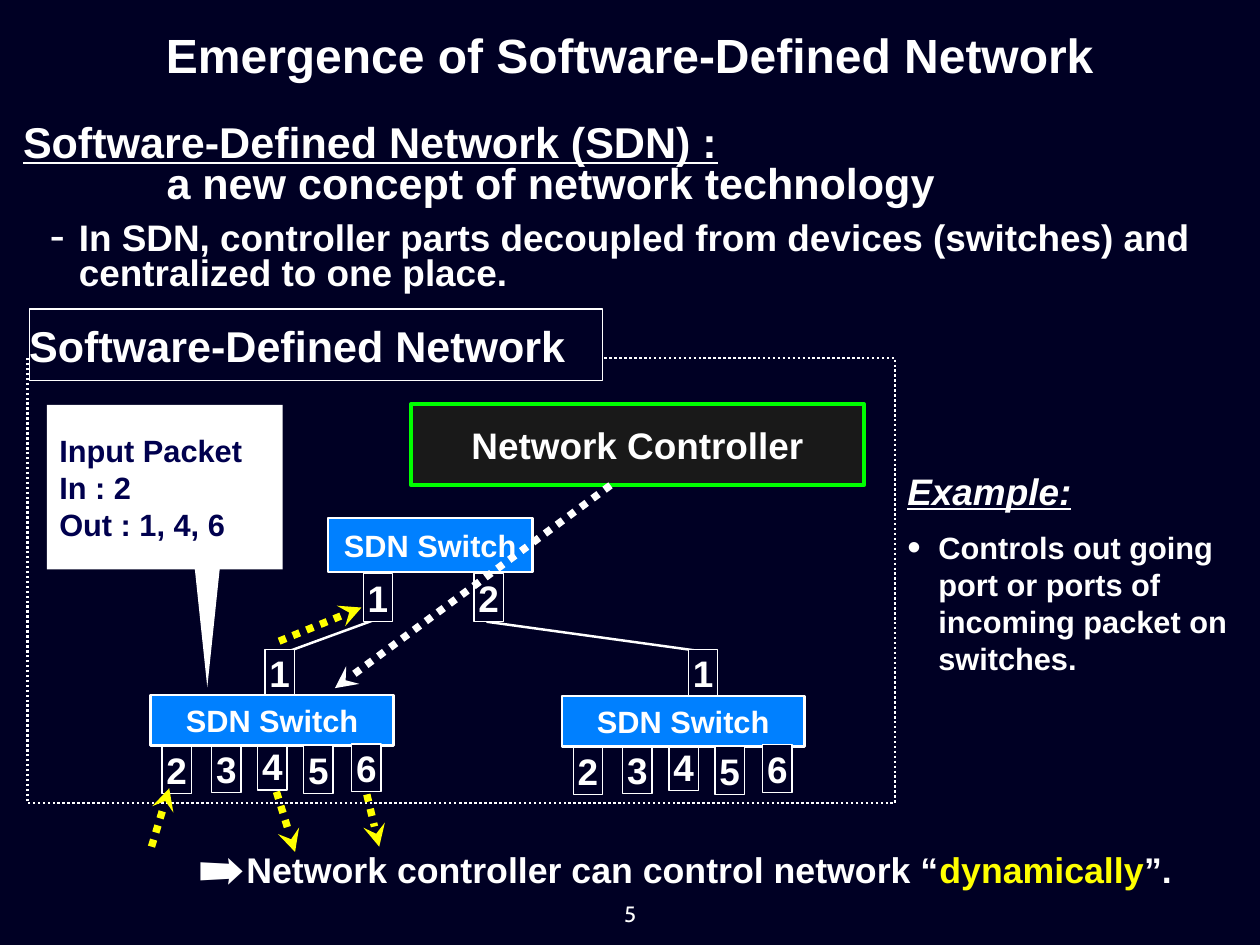
from lxml.etree import SubElement
from pptx import Presentation
from pptx.dml.color import RGBColor
from pptx.enum.dml import MSO_LINE
from pptx.enum.shapes import MSO_CONNECTOR, MSO_SHAPE
from pptx.enum.text import MSO_ANCHOR, MSO_AUTO_SIZE, PP_ALIGN
from pptx.oxml.ns import qn
from pptx.util import Pt

SCALE = 9144  # EMU in one px, 100 px to the inch
WHITE, YELLOW, NAVY, BLUE = "FFFFFF", "FFFF00", "000025", "0080FF"
CENTER, LEFT = PP_ALIGN.CENTER, PP_ALIGN.LEFT


def px(*nums):
    return [round(n * SCALE) for n in nums]


def hue(code):
    return RGBColor.from_string(code)


class Board:
    """Holds the text style and the slide being drawn."""

    base = {"name": "Arial", "bold": True}

    def __init__(self, slide):
        self.slide = slide
        self.shapes = slide.shapes

    def letter(self, shape, paras, size, color=WHITE, align=LEFT, pad=0, foot=None,
               gap=1.0, dents=(), bullet=None, **more):
        """Fill a shape with text; each paragraph is a list of (text, format) runs."""
        frame = shape.text_frame
        left, low = px(pad, pad if foot is None else foot)
        props = {"word_wrap": True, "auto_size": MSO_AUTO_SIZE.NONE,
                 "vertical_anchor": MSO_ANCHOR.MIDDLE, "margin_left": left,
                 "margin_right": left, "margin_top": left, "margin_bottom": low}
        for key, val in props.items():
            setattr(frame, key, val)
        for num, runs in enumerate(paras):
            para = frame.add_paragraph() if num else frame.paragraphs[0]
            rule = {"alignment": align, "line_spacing": gap,
                    "space_before": Pt(0), "space_after": Pt(0)}
            for key, val in rule.items():
                setattr(para, key, val)
            if dents:
                self.indent(para, dents[num], bullet)
            for text, extra in runs:
                run = para.add_run()
                run.text = text
                look = {**self.base, "size": Pt(size), **more, **extra}
                run.font.color.rgb = hue(look.pop("color", color))
                for key, val in look.items():
                    setattr(run.font, key, val)

    def indent(self, para, dent, bullet):
        """Indent a paragraph, hanging its bullet if it has one."""
        props = para._p.get_or_add_pPr()
        room = px(dent)[0]
        props.set("marL", str(room))
        props.set("indent", str(-room if bullet else 0))
        if bullet:
            SubElement(props, qn("a:buSzPct"), val="125000")
            SubElement(props, qn("a:buChar"), char=bullet)

    def holder(self, idx, spot, paras, size, **fmt):
        """Move and fill one of the layout's placeholders."""
        shape = self.slide.placeholders[idx]
        shape.left, shape.top, shape.width, shape.height = px(*spot)
        self.letter(shape, paras, size, **fmt)

    def label(self, spot, text, size, **fmt):
        self.letter(self.shapes.add_textbox(*px(*spot)), [[(text, {})]], size, **fmt)

    def box(self, spot, fill=None, line=WHITE, width=1, dash=None, text="", size=30, **fmt):
        shape = self.shapes.add_shape(MSO_SHAPE.RECTANGLE, *px(*spot))
        shape.shadow.inherit = False
        if fill:
            shape.fill.solid()
            shape.fill.fore_color.rgb = hue(fill)
        else:
            shape.fill.background()
        self.stroke(shape.line, line, width, dash)
        if text:
            self.letter(shape, [[(text, {})]], size, **fmt)

    def stroke(self, line, color, width, dash=None):
        line.color.rgb = hue(color)
        line.width = Pt(width)
        if dash:
            line.dash_style = dash

    def link(self, ends, color=WHITE, width=2):
        line = self.shapes.add_connector(MSO_CONNECTOR.STRAIGHT, *px(*ends))
        self.stroke(line.line, color, width)
        SubElement(line._element.spPr, qn("a:effectLst"))
        return line

    def arrow(self, ends, color=YELLOW):
        line = self.link(ends, color, 6).line
        line.dash_style = MSO_LINE.ROUND_DOT
        SubElement(line._ln, qn("a:tailEnd"), type="stealth")

    def port(self, text, left, top):
        self.box((left, top, 33, 54), NAVY, text=text, align=CENTER, pad=1)

    def switch(self, spot):
        self.box(spot, BLUE, width=2, text="SDN Switch", size=25, align=CENTER)

    def callout(self, spots, rows, **fmt):
        build = self.shapes.build_freeform(*spots[0], scale=SCALE)
        build.add_line_segments(spots[1:], close=True)
        shape = build.convert_to_shape()
        shape.shadow.inherit = False
        shape.fill.solid()
        shape.fill.fore_color.rgb = hue(WHITE)
        shape.line.fill.background()
        self.letter(shape, [[(row, {})] for row in rows], 25, **fmt)


def draw(board):
    board.holder(0, (0, 24, 1422, 75), [[("Emergence of Software-Defined Network", {})]],
                 39, align=CENTER)
    board.holder(1, (26, 115, 1119, 146), [
        [("Software-Defined Network (SDN) :", {"underline": True})],
        [("a new concept of network technology", {})]], 35, gap=0.8, dents=(0, 162))
    board.holder(2, (56, 229, 1310, 125), [[(
        "In SDN, controller parts decoupled from devices (switches) and "
        "centralized to one place.", {})]], 30, gap=0.8, dents=(33,), bullet="-")
    board.holder(3, (224, 910, 1165, 153), [[
        ("Network controller can control network “", {}),
        ("dynamically", {"color": YELLOW}), ("”.", {})]],
        29, gap=0.8, dents=(54,), bullet="➡")
    board.holder(4, (1024, 580, 378, 201), [[(
        "Controls out going port or ports of incoming packet on switches.", {})]],
        25, dents=(35,), bullet="•")
    board.label((1024, 521, 378, 75), "Example:", 30, gap=0.8, italic=True, underline=True)
    board.label((692, 1012, 38, 40), "5", 18, align=CENTER, name="Cabin", bold=False)

    board.link((428, 698, 324, 736))
    board.link((549, 702, 789, 735))
    board.box((31, 404, 979, 503), width=2, dash=MSO_LINE.ROUND_DOT)
    board.box((33, 349, 647, 81), NAVY, text="Software-Defined Network", size=35)
    board.box((464, 456, 511, 92), "191919", "00FF00", 3, text="Network Controller",
              align=CENTER)

    board.port("1", 410, 648)
    board.port("2", 535, 648)
    board.switch((370, 585, 231, 61))
    under = ("2", 183, 842), ("3", 239, 841), ("4", 291, 838)
    over = ("5", 343, 842), ("6", 397, 840)
    for right, down, top in ((0, 0, 299), (464, 1, 777)):
        board.port("1", top, 733)
        for text, left, high in under:
            board.port(text, left + right, high + down)
        board.switch((170 + right, 785 + down, 274, 57))
        for text, left, high in over:
            board.port(text, left + right, high + down)

    board.callout([(53, 457), (53, 643), (220, 643), (234, 776), (248, 643),
                   (319, 643), (319, 457)],
                  ("Input Packet", "In : 2", "Out : 1, 4, 6"),
                  color="00004E", pad=14, foot=147)
    board.arrow((689, 548, 378, 777), WHITE)
    for ends in ((171, 956, 191, 890), (312, 894, 333, 962),
                 (315, 724, 408, 686), (414, 897, 428, 956)):
        board.arrow(ends)


def main():
    deck = Presentation()
    deck.slide_width, deck.slide_height = px(1422, 1067)
    slide = deck.slides.add_slide(deck.slide_layouts.get_by_name("Comparison"))
    slide.background.fill.solid()
    slide.background.fill.fore_color.rgb = hue("000024")
    draw(Board(slide))
    deck.save("out.pptx")


if __name__ == "__main__":
    main()
